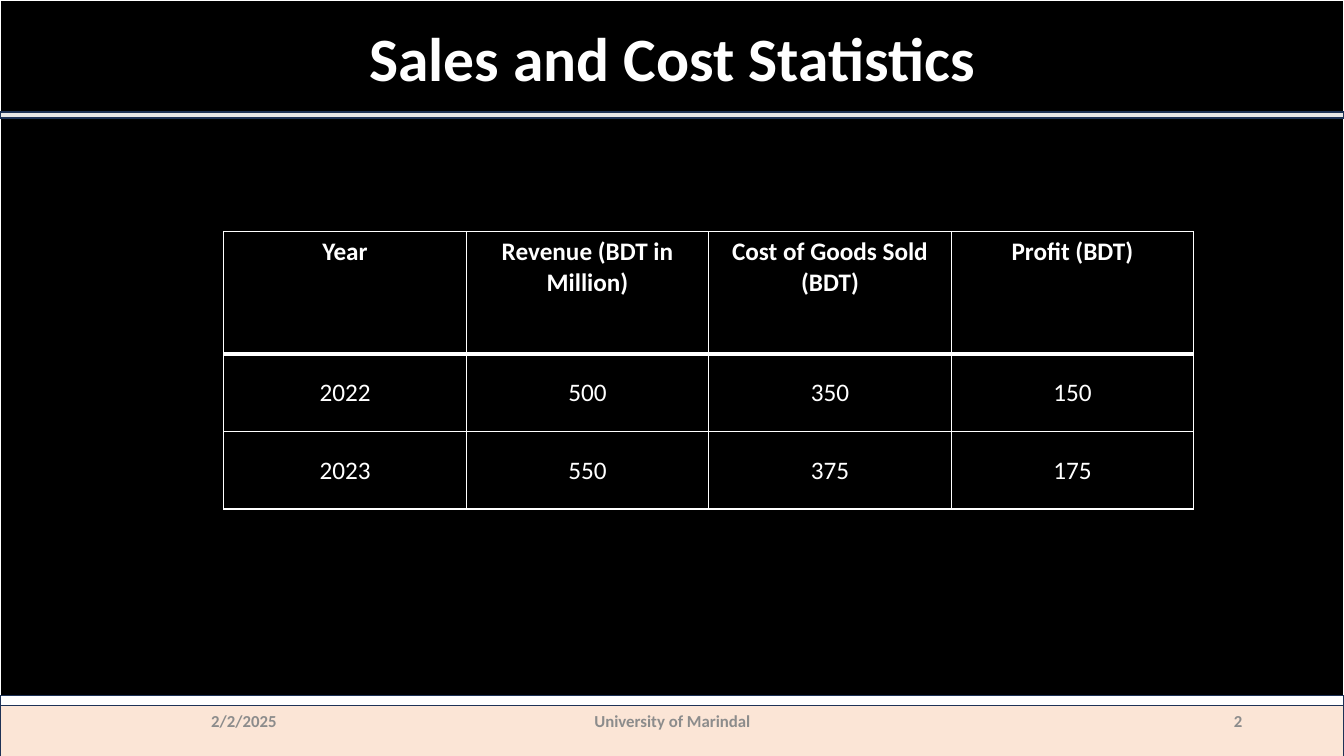
from lxml.etree import SubElement
from pptx import Presentation
from pptx.dml.color import RGBColor
from pptx.enum.shapes import MSO_SHAPE
from pptx.enum.text import MSO_ANCHOR, PP_ALIGN
from pptx.oxml.ns import qn
from pptx.util import Inches, Pt

WHITE, BLACK, NAVY, GREY = "FFFFFF", "000000", "1E3256", "8C8C8C"


def paint(part, color):
    """Give a fill, or the fill of a line, one solid colour."""
    part.solid()
    part.fore_color.rgb = RGBColor.from_string(color)


def write(frame, text, size, color, bold, align=PP_ALIGN.CENTER):
    para = frame.paragraphs[0]
    para.alignment = align
    run = para.add_run()
    run.text = text
    run.font.name = "Calibri"
    run.font.size = Pt(size)
    run.font.bold = bold
    paint(run.font.fill, color)
    return para


prs = Presentation()
prs.slide_width, prs.slide_height = Inches(13.33), Inches(7.5)
slide = prs.slides.add_slide(prs.slide_layouts[6])
shapes = slide.shapes

# Backdrop and bands: top, height, fill, line colour, line width
bands = [
    (0, 7.56, BLACK, WHITE, 1.5),
    (6.9, 0.1, WHITE, NAVY, 1),
    (7, 0.56, "FBE5D6", NAVY, 1),
    (1.11, 0.06, "E7E6E6", NAVY, 1),
]
for top, high, fill, line, width in bands:
    band = shapes.add_shape(MSO_SHAPE.RECTANGLE, 0, Inches(top),
                            prs.slide_width, Inches(high))
    band.shadow.inherit = False
    paint(band.fill, fill)
    paint(band.line.fill, line)
    band.line.width = Pt(width)

# Title and footer: left, top, width, height, text, size, colour, alignment
labels = [
    (0.92, 0.25, 11.5, 0.72, "Sales and Cost Statistics", 44, WHITE, PP_ALIGN.CENTER),
    (0.92, 6.95, 3, 0.4, "2/2/2025", 12, GREY, PP_ALIGN.CENTER),
    (4.42, 6.95, 4.5, 0.4, "University of Marindal", 12, GREY, PP_ALIGN.CENTER),
    (9.42, 6.95, 3, 0.4, "2", 12, GREY, PP_ALIGN.RIGHT),
]
for left, top, wide, high, text, size, color, align in labels:
    box = shapes.add_textbox(Inches(left), Inches(top), Inches(wide), Inches(high))
    frame = box.text_frame
    frame.word_wrap = True
    frame.vertical_anchor = MSO_ANCHOR.MIDDLE
    para = write(frame, text, size, color, True, align)
    if size == 44:
        para.line_spacing = 0.9

# Sales table
rows = [
    ("Year", "Revenue (BDT in Million)", "Cost of Goods Sold (BDT)", "Profit (BDT)"),
    ("2022", "500", "350", "150"),
    ("2023", "550", "375", "175"),
]
table = shapes.add_table(3, 4, Inches(2.22), Inches(2.3),
                         Inches(9.62), Inches(2.75)).table
for row, high in zip(table.rows, (1.21, 0.77, 0.77)):
    row.height = Inches(high)

for r, row in enumerate(rows):
    for c, text in enumerate(row):
        cell = table.cell(r, c)
        head = r == 0
        write(cell.text_frame, text, 18, WHITE, head)
        if not head:
            cell.vertical_anchor = MSO_ANCHOR.MIDDLE
            cell.margin_left = cell.margin_right = cell.margin_top = Inches(0.01)
            cell.margin_bottom = 0
        props = cell._tc.get_or_add_tcPr()
        for side in "LRTB":
            thick = (head and side == "B") or (r == 1 and side == "T")
            edge = SubElement(props, qn("a:ln" + side), w=str(Pt(3 if thick else 1)))
            SubElement(SubElement(edge, qn("a:solidFill")), qn("a:srgbClr"), val=WHITE)
        paint(cell.fill, BLACK)

prs.save("out.pptx")
